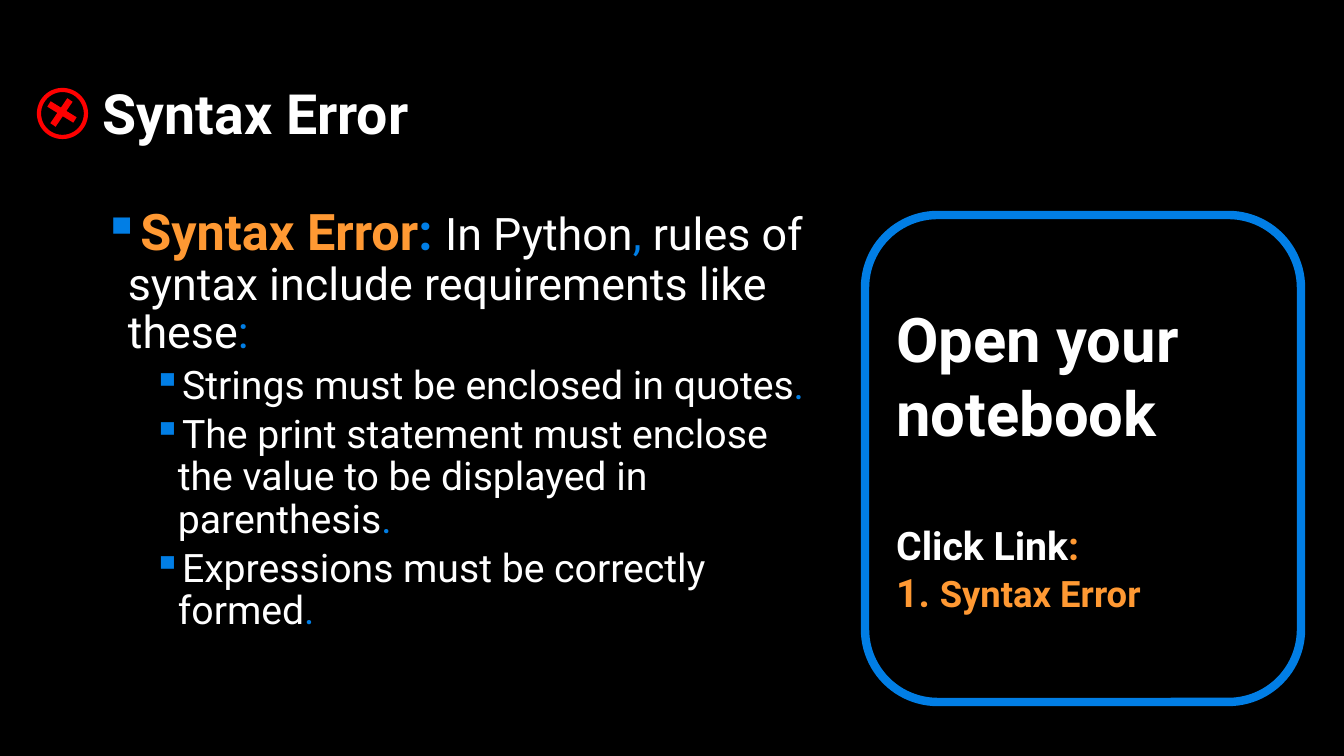
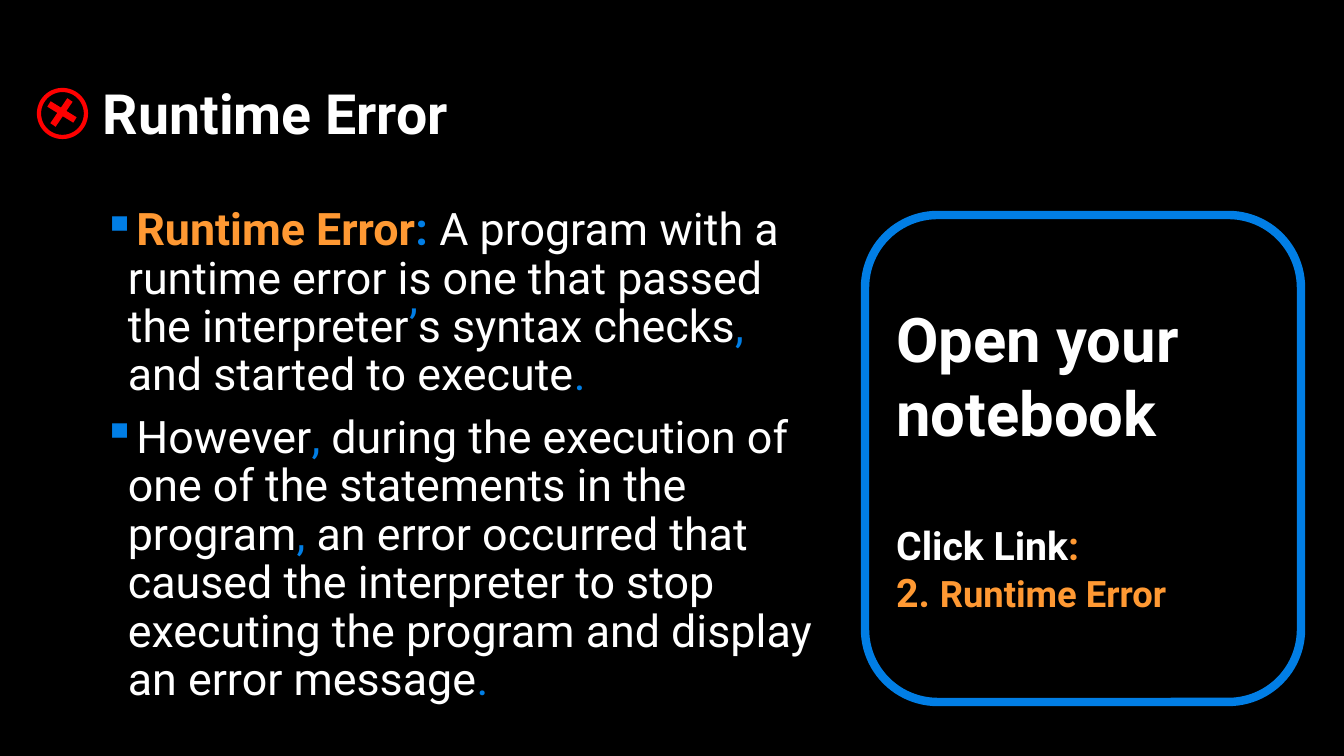
from itertools import groupby

from lxml import etree
from pptx import Presentation, util as u
from pptx.dml.color import RGBColor
from pptx.enum import shapes, text
from pptx.oxml.ns import qn

# Content: body rows are (level, [(text, size, style), ...])
SLIDES = [
    {"title": "Syntax Error", "link": "1. ", "body": [
        (0, [("Syntax Error: ", 36, "term"),
             ("In Python, rules of syntax include requirements like these:", 32, "plain")]),
        (1, [("Strings must be enclosed in quotes.", 28, "plain")]),
        (1, [("The print statement must enclose the value to be displayed in parenthesis.",
              28, "plain")]),
        (1, [("Expressions must be correctly formed.", 28, "plain")]),
    ]},
    {"title": "Runtime Error", "link": "2. ", "body": [
        (0, [("Runtime Error: ", 32, "term"),
             ("A program with a runtime error is one that passed the interpreter’s "
              "syntax checks, and started to execute.", 32, "plain")]),
        (0, [("However, during the execution of one of the statements in the program, "
              "an error occurred that caused the interpreter to stop executing the "
              "program and display an error message.", 32, "plain")]),
    ]},
]

# Shared look
FONT = "Roboto"
BLACK = RGBColor(0x00, 0x00, 0x00)
WHITE = RGBColor(0xFF, 0xFF, 0xFF)
BLUE = RGBColor(0x01, 0x7E, 0xE5)
ORANGE = RGBColor(0xFF, 0x99, 0x33)
RED = RGBColor(0xFF, 0x00, 0x00)
STYLES = {"term": {"color": ORANGE, "bold": True}, "plain": {"color": WHITE}}
MARKS = ":,.’"

# Places in px: left, top, width, height
SLIDE_SIZE = (1344, 756)
TITLE = (93, 81, 1159, 72)
BODY = (93, 202, 731, 533)
PANEL = (865, 215, 436, 487)
RING = (39, 90, 47, 47)
CROSS = [(53, 125, 70, 100), (49, 104, 75, 120)]  # from x, y to x, y
INDENT, LEVEL_STEP = 25, 50


def px(*values):
    return [round(v * u.Inches(1) / 100.8) for v in values]


def add_text(p, content, size, color=WHITE, bold=False, mark=BLUE):
    """Add runs to a paragraph, with punctuation in the mark colour."""
    for is_mark, chars in groupby(content, key=lambda c: c in MARKS):
        r = p.add_run()
        r.text = "".join(chars)
        r.font.name, r.font.size, r.font.bold = FONT, u.Pt(size), bold
        r.font.color.rgb = mark if is_mark else color


def add_bullet(p, level):
    p.level = level
    pPr = p._p.get_or_add_pPr()
    margin, hang = px(INDENT + LEVEL_STEP * level, INDENT)
    pPr.set("marL", str(margin))
    pPr.set("indent", str(-hang))
    color = etree.SubElement(pPr, qn("a:buClr"))
    etree.SubElement(color, qn("a:srgbClr")).set("val", str(BLUE))
    etree.SubElement(pPr, qn("a:buChar")).set("char", "▪")


def add_box(s, place, anchor):
    tf = s.shapes.add_textbox(*px(*place)).text_frame
    tf.word_wrap = True
    tf.vertical_anchor = anchor
    return tf


def add_outline(s, kind, place, color, width):
    sp = s.shapes.add_shape(kind, *px(*place))
    sp.shadow.inherit = False
    sp.fill.background()
    sp.line.color.rgb, sp.line.width = color, u.Pt(width)
    return sp


def add_error_icon(s):
    add_outline(s, shapes.MSO_SHAPE.OVAL, RING, RED, 3)
    for ends in CROSS:
        stroke = s.shapes.add_connector(shapes.MSO_CONNECTOR.STRAIGHT, *px(*ends))
        stroke.line.color.rgb, stroke.line.width = RED, u.Pt(4.56)
        etree.SubElement(stroke._element.spPr, qn("a:effectLst"))


def add_panel(s, number, topic):
    sp = add_outline(s, shapes.MSO_SHAPE.ROUNDED_RECTANGLE, PANEL, BLUE, 6)
    tf = sp.text_frame
    tf.word_wrap = True
    tf.vertical_anchor = text.MSO_ANCHOR.MIDDLE
    heading, label, link = tf.paragraphs[0], tf.add_paragraph(), tf.add_paragraph()
    for p in (heading, label, link):
        p.alignment = text.PP_ALIGN.LEFT
    label.space_before = u.Pt(52)
    add_text(heading, "Open your notebook", 44, bold=True)
    add_text(label, "Click Link:", 28, bold=True, mark=ORANGE)
    add_text(link, number, 28, color=ORANGE, bold=True, mark=ORANGE)
    add_text(link, topic, 26, color=ORANGE, bold=True)


def add_body(s, rows):
    tf = add_box(s, BODY, text.MSO_ANCHOR.TOP)
    for i, (level, parts) in enumerate(rows):
        p = tf.add_paragraph() if i else tf.paragraphs[0]
        add_bullet(p, level)
        p.line_spacing = 0.9
        if i:
            p.space_before = u.Pt(5 if level else 10)
        for content, size, style in parts:
            add_text(p, content, size, **STYLES[style])


def main():
    prs = Presentation()
    prs.slide_width, prs.slide_height = px(*SLIDE_SIZE)
    for item in SLIDES:
        s = prs.slides.add_slide(prs.slide_layouts[6])
        s.background.fill.solid()
        s.background.fill.fore_color.rgb = BLACK
        p = add_box(s, TITLE, text.MSO_ANCHOR.MIDDLE).paragraphs[0]
        p.line_spacing = 0.9
        add_text(p, item["title"], 39.6, bold=True)
        add_body(s, item["body"])
        add_error_icon(s)
        add_panel(s, item["link"], item["title"])
    prs.save("out.pptx")


if __name__ == "__main__":
    main()
